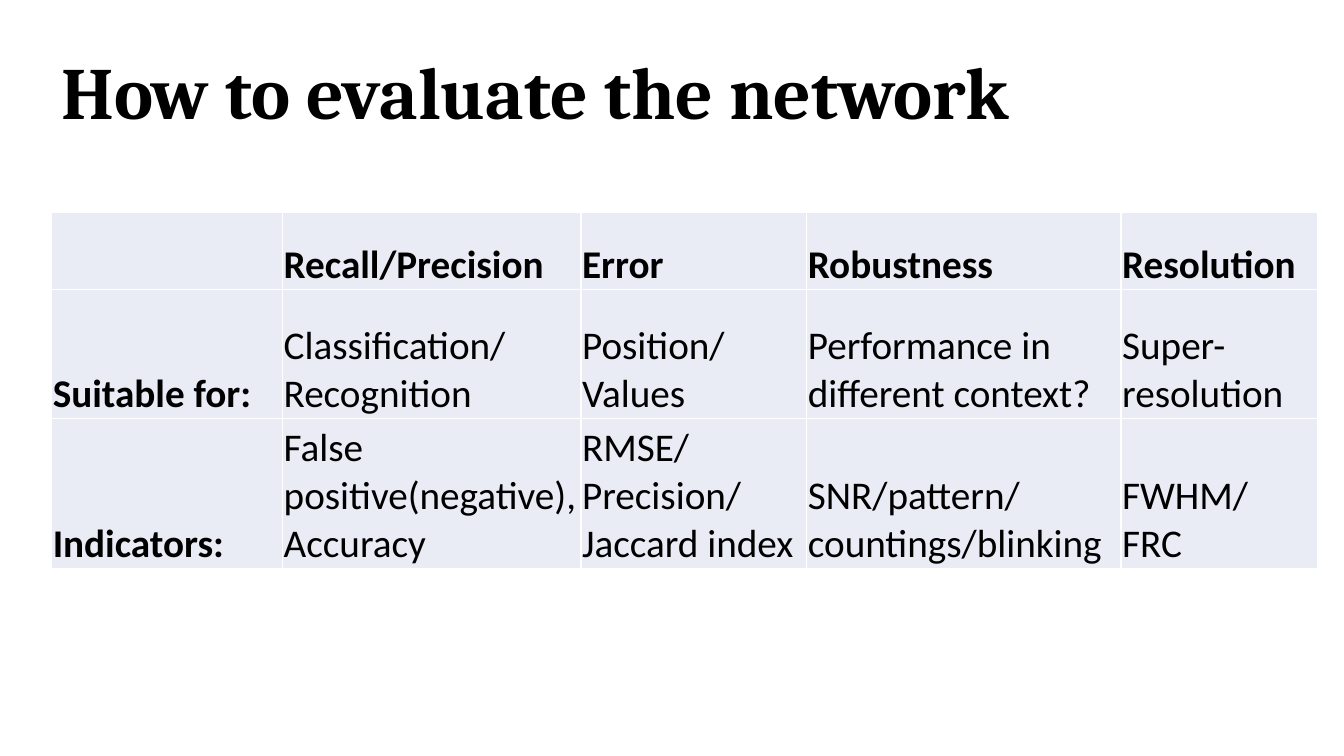
from dataclasses import dataclass

from lxml import etree
from pptx import Presentation
from pptx import util as u
from pptx.dml import color
from pptx.enum import text
from pptx.oxml import ns


@dataclass(frozen=True)
class Theme:
    ink: str = "000000"
    fill: str = "E9EBF5"
    rule: str = "FFFFFF"
    head: str = "Cambria"
    body: str = "Calibri"
    big: float = 52.6
    mid: float = 28
    line: float = 1


LOOK = Theme()
COLS = [5.82, 7.52, 5.69, 7.92, 4.95]
ROWS = [1.93, 3.25, 3.78]
CELLS = [
    ["", "Recall/Precision", "Error", "Robustness", "Resolution"],
    ["Suitable for:", "Classification/\nRecognition", "Position/\nValues",
     "Performance in different context?", "Super-resolution"],
    ["Indicators:", "False positive(negative), Accuracy",
     "RMSE/\nPrecision/\nJaccard index",
     "SNR/pattern/\ncountings/blinking", "FWHM/\nFRC"],
]


def apply(item, form):
    for name, value in form.items():
        setattr(item, name, value)


def style(par, face, size, bold):
    apply(par.font, {"name": face, "size": u.Pt(size), "bold": bold})
    par.font.color.rgb = color.RGBColor.from_string(LOOK.ink)


def border(cell):
    props = cell._tc.get_or_add_tcPr()
    for spot, side in enumerate(("lnL", "lnR", "lnT", "lnB")):
        line = etree.Element(ns.qn(f"a:{side}"), w=str(u.Pt(LOOK.line)))
        solid = etree.SubElement(line, ns.qn("a:solidFill"))
        etree.SubElement(solid, ns.qn("a:srgbClr"), val=LOOK.rule)
        props.insert(spot, line)


def add_title(slide, box, words):
    frame = slide.shapes.add_textbox(*map(u.Cm, box)).text_frame
    apply(frame, {"word_wrap": True, "vertical_anchor": text.MSO_ANCHOR.MIDDLE})
    par = frame.paragraphs[0]
    par.text = words
    par.line_spacing = 0.9
    style(par, LOOK.head, LOOK.big, True)


def fill_cell(cell, words, bold):
    cell.text = words
    apply(cell, {
        "vertical_anchor": text.MSO_ANCHOR.BOTTOM,
        "margin_left": u.Cm(0.03),
        "margin_right": u.Cm(0.03),
        "margin_top": u.Cm(0.03),
        "margin_bottom": 0,
    })
    cell.fill.solid()
    cell.fill.fore_color.rgb = color.RGBColor.from_string(LOOK.fill)
    border(cell)
    for par in cell.text_frame.paragraphs:
        style(par, LOOK.body, LOOK.mid, bold)


def add_grid(slide, left, top):
    box = map(u.Cm, (left, top, sum(COLS), sum(ROWS)))
    grid = slide.shapes.add_table(len(ROWS), len(COLS), *box).table
    apply(grid, {"first_row": False, "horz_banding": False})
    for col, width in zip(grid.columns, COLS):
        col.width = u.Cm(width)
    for row, height in zip(grid.rows, ROWS):
        row.height = u.Cm(height)
    for r, line in enumerate(CELLS):
        for c, words in enumerate(line):
            fill_cell(grid.cell(r, c), words, r == 0 or c == 0)


def main():
    deck = Presentation()
    apply(deck, {"slide_width": u.Cm(33.87), "slide_height": u.Cm(19.05)})
    slide = deck.slides.add_slide(deck.slide_layouts[6])
    add_title(slide, (1.3, 0.58, 31.22, 3.68), "How to evaluate the network")
    add_grid(slide, 1.3, 5.36)
    deck.save("out.pptx")


if __name__ == "__main__":
    main()
